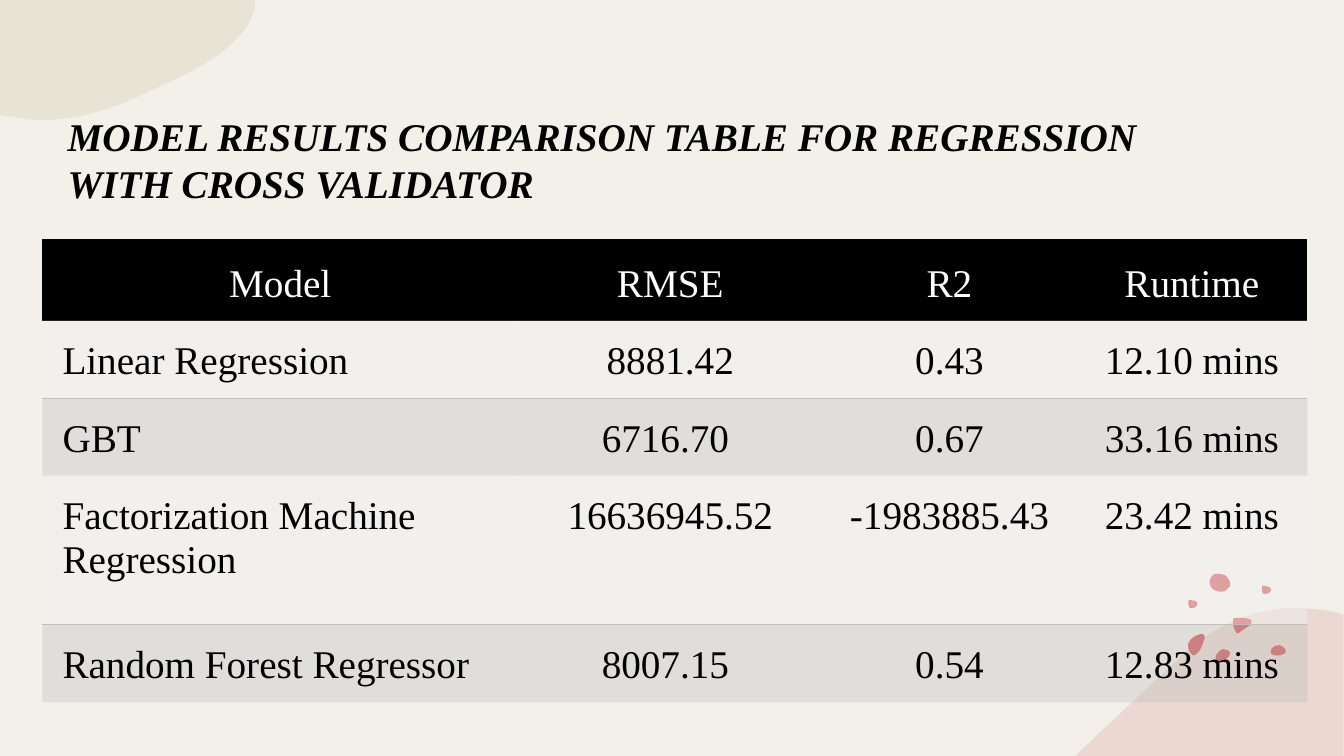
import lxml.etree
import pptx
import pptx.dml.color
import pptx.enum.text
import pptx.oxml.ns
import pptx.util
from dataclasses import dataclass

TITLE = "MODEL RESULTS COMPARISON TABLE FOR REGRESSION WITH CROSS VALIDATOR"
RESULTS = [
    ("Model", "RMSE", "R2", "Runtime"),
    ("Linear Regression", "8881.42", "0.43", "12.10 mins"),
    ("GBT", "6716.70 ", "0.67", "33.16 mins"),
    ("Factorization Machine Regression", "16636945.52", "-1983885.43", "23.42 mins"),
    ("Random Forest Regressor", "8007.15 ", "0.54", "12.83 mins"),
]
COLUMN_WIDTHS = (4.72, 3.02, 2.52, 2.29)
ROW_HEIGHTS = (0.81, 0.77, 0.77, 1.48, 0.77)

CORNER_BLOBS = {
    "rose": [
        (12.88, 6.03), (13.01, 6.04, 13.14, 6.05, 13.27, 6.08), (13.33, 6.1),
        (13.33, 7.5), (10.67, 7.5), (10.68, 7.49),
        (11.02, 7.16, 11.37, 6.84, 11.69, 6.54),
        (11.91, 6.32, 12.14, 6.19, 12.37, 6.11),
        (12.54, 6.05, 12.71, 6.03, 12.88, 6.03),
    ],
    "olive": [
        (0, 0), (2.53, 0), (2.53, 0.06),
        (2.45, 0.44, 2, 0.67, 1.58, 0.86),
        (1.23, 1.03, 0.86, 1.19, 0.41, 1.19),
        (0.31, 1.19, 0.22, 1.18, 0.13, 1.16), (0, 1.14),
    ],
}
SMALL_SPECK = [
    (0.01, 0.05), (0.01, 0.05, 0, 0.01, 0.02, 0), (0.04, 0, 0.05, 0, 0.07, 0.01),
    (0.08, 0.01, 0.1, 0.02, 0.1, 0.04), (0.1, 0.05, 0.09, 0.07, 0.08, 0.07),
    (0.08, 0.07, 0.08, 0.08, 0.06, 0.08), (0.05, 0.08, 0.03, 0.09, 0.02, 0.08),
    (0.01, 0.06, 0.01, 0.06, 0.01, 0.05),
]
SPECKS = [
    ((0, 0), [
        (12.13, 6.44), (12.15, 6.44, 12.16, 6.44, 12.18, 6.45),
        (12.2, 6.46, 12.21, 6.48, 12.2, 6.5), (12.18, 6.53, 12.12, 6.58, 12.08, 6.57),
        (12.07, 6.56, 12.06, 6.54, 12.06, 6.52), (12.06, 6.5, 12.08, 6.47, 12.1, 6.46),
        (12.11, 6.45, 12.12, 6.44, 12.13, 6.44),
    ]),
    ((0, 0), [
        (11.91, 6.29), (11.93, 6.29, 11.95, 6.29, 11.95, 6.31),
        (11.95, 6.32, 11.95, 6.32, 11.95, 6.33), (11.94, 6.38, 11.92, 6.43, 11.89, 6.47),
        (11.87, 6.49, 11.84, 6.52, 11.82, 6.49), (11.79, 6.46, 11.78, 6.41, 11.79, 6.38),
        (11.8, 6.35, 11.82, 6.34, 11.84, 6.32), (11.85, 6.32, 11.88, 6.29, 11.91, 6.29),
    ]),
    ((0, 0), [
        (12.69, 6.4), (12.71, 6.4, 12.74, 6.42, 12.75, 6.44),
        (12.76, 6.46, 12.76, 6.48, 12.73, 6.49), (12.7, 6.51, 12.62, 6.51, 12.61, 6.48),
        (12.6, 6.46, 12.61, 6.44, 12.62, 6.43), (12.64, 6.41, 12.66, 6.4, 12.69, 6.4),
    ]),
    ((0, 0), [
        (12.01, 5.81), (12, 5.81, 11.99, 5.75, 12.02, 5.72),
        (12.04, 5.7, 12.04, 5.69, 12.07, 5.69), (12.1, 5.69, 12.14, 5.7, 12.16, 5.71),
        (12.18, 5.73, 12.22, 5.78, 12.2, 5.82), (12.17, 5.85, 12.16, 5.87, 12.12, 5.87),
        (12.09, 5.87, 12.04, 5.86, 12.03, 5.84), (12.01, 5.83, 12.01, 5.82, 12.01, 5.81),
    ]),
    ((12.51, 5.81), SMALL_SPECK),
    ((11.78, 5.95), SMALL_SPECK),
    ((0, 0), [
        (12.28, 6.13), (12.34, 6.13, 12.45, 6.13, 12.41, 6.19),
        (12.41, 6.2, 12.4, 6.21, 12.39, 6.21), (12.36, 6.23, 12.33, 6.25, 12.3, 6.27),
        (12.29, 6.28, 12.28, 6.29, 12.27, 6.28), (12.27, 6.28, 12.26, 6.27, 12.26, 6.27),
        (12.24, 6.23, 12.23, 6.2, 12.23, 6.16), (12.23, 6.15, 12.23, 6.14, 12.24, 6.13),
    ]),
]


@dataclass(frozen=True)
class Theme:
    font: str = "Times New Roman"
    size: int = 28
    background: str = "F3F0E9"
    ink: str = "000000"
    header_ink: str = "FFFFFF"
    rose: str = "E5C4BA"
    olive: str = "DCD9C3"
    speck: str = "D45E5E"
    light_row: tuple = ("F2F2F2", 45)
    dark_row: tuple = ("BFBFBF", 35)
    rule: str = "BFBFBF"


THEME = Theme()
Inches = pptx.util.Inches
qn = pptx.oxml.ns.qn


def paint(fill, color, element, opacity=100):
    fill.solid()
    fill.fore_color.rgb = pptx.dml.color.RGBColor.from_string(color)
    if opacity < 100:
        color_element = element.find(".//" + qn("a:srgbClr"))
        lxml.etree.SubElement(color_element, qn("a:alpha"), val=str(opacity * 1000))


def style(paragraph, color, bold=False, italic=False):
    font = paragraph.font
    font.name, font.size = THEME.font, pptx.util.Pt(THEME.size)
    font.bold, font.italic = bold, italic
    font.color.rgb = pptx.dml.color.RGBColor.from_string(color)


def add_blob(slide, outline, color, opacity=100, offset=(0, 0)):
    segments = [
        [(Inches(x + offset[0]), Inches(y + offset[1]))
         for x, y in zip(segment[::2], segment[1::2])]
        for segment in outline]
    anchors = [segment[-1] for segment in segments]
    builder = slide.shapes.build_freeform(*anchors[0])
    builder.add_line_segments(anchors[1:], close=True)
    shape = builder.convert_to_shape()
    properties = shape._element.spPr
    for line, segment in zip(list(properties.iter(qn("a:lnTo"))), segments[1:]):
        if len(segment) == 3:
            curve = lxml.etree.Element(qn("a:cubicBezTo"))
            for x, y in segment:
                lxml.etree.SubElement(
                    curve, qn("a:pt"), x=str(x - shape.left), y=str(y - shape.top))
            line.getparent().replace(line, curve)
    shape.shadow.inherit = False
    paint(shape.fill, color, properties, opacity)
    shape.line.fill.background()


def set_borders(properties, ruled_side):
    for index, side in enumerate(("lnL", "lnR", "lnT", "lnB")):
        line = lxml.etree.Element(qn("a:" + side), w="12700")
        if side == ruled_side:
            fill = lxml.etree.SubElement(line, qn("a:solidFill"))
            lxml.etree.SubElement(fill, qn("a:srgbClr"), val=THEME.rule)
        else:
            lxml.etree.SubElement(line, qn("a:noFill"))
        properties.insert(index, line)


def add_title(slide):
    title = slide.shapes.title
    title.left, title.top, title.width, title.height = map(Inches, (0.57, 1.06, 11.5, 1.2))
    frame = title.text_frame
    frame.text = TITLE
    frame.word_wrap = True
    frame.auto_size = pptx.enum.text.MSO_AUTO_SIZE.NONE
    frame.vertical_anchor = pptx.enum.text.MSO_ANCHOR.TOP
    paragraph = frame.paragraphs[0]
    paragraph.alignment = pptx.enum.text.PP_ALIGN.LEFT
    paragraph.space_after = pptx.util.Pt(6)
    style(paragraph, THEME.ink, bold=True, italic=True)


def fill_cell(cell, text, row, column):
    header = row == 0
    cell.text = text
    cell.margin_left = cell.margin_right = Inches(0.2)
    cell.margin_top, cell.margin_bottom = Inches(0.19), Inches(0.1)
    anchors = pptx.enum.text.MSO_ANCHOR
    cell.vertical_anchor = anchors.MIDDLE if header else anchors.TOP
    paragraph = cell.text_frame.paragraphs[0]
    alignments = pptx.enum.text.PP_ALIGN
    paragraph.alignment = alignments.CENTER if header or column else alignments.LEFT
    style(paragraph, THEME.header_ink if header else THEME.ink)
    band = THEME.light_row if row % 2 else THEME.dark_row
    color, opacity = (THEME.ink, 100) if header else band
    properties = cell._tc.get_or_add_tcPr()
    paint(cell.fill, color, properties, opacity)
    set_borders(properties, None if header else "lnB" if row % 2 else "lnT")


def add_results(slide):
    frame = slide.shapes.add_table(
        len(RESULTS), len(COLUMN_WIDTHS), Inches(0.42), Inches(2.37),
        Inches(sum(COLUMN_WIDTHS)), Inches(sum(ROW_HEIGHTS)))
    table = frame.table
    table.horz_banding = False
    for column, width in zip(table.columns, COLUMN_WIDTHS):
        column.width = Inches(width)
    for row, height in zip(table.rows, ROW_HEIGHTS):
        row.height = Inches(height)
    for row, values in enumerate(RESULTS):
        for column, text in enumerate(values):
            fill_cell(table.cell(row, column), text, row, column)


def main():
    presentation = pptx.Presentation()
    presentation.slide_width, presentation.slide_height = Inches(40 / 3), Inches(7.5)
    slide = presentation.slides.add_slide(presentation.slide_layouts[5])
    paint(slide.background.fill, THEME.background, None)
    add_blob(slide, CORNER_BLOBS["rose"], THEME.rose, 50)
    for offset, outline in SPECKS:
        add_blob(slide, outline, THEME.speck, offset=offset)
    add_blob(slide, CORNER_BLOBS["olive"], THEME.olive, 50)
    add_title(slide)
    add_results(slide)
    presentation.save("out.pptx")


if __name__ == "__main__":
    main()
